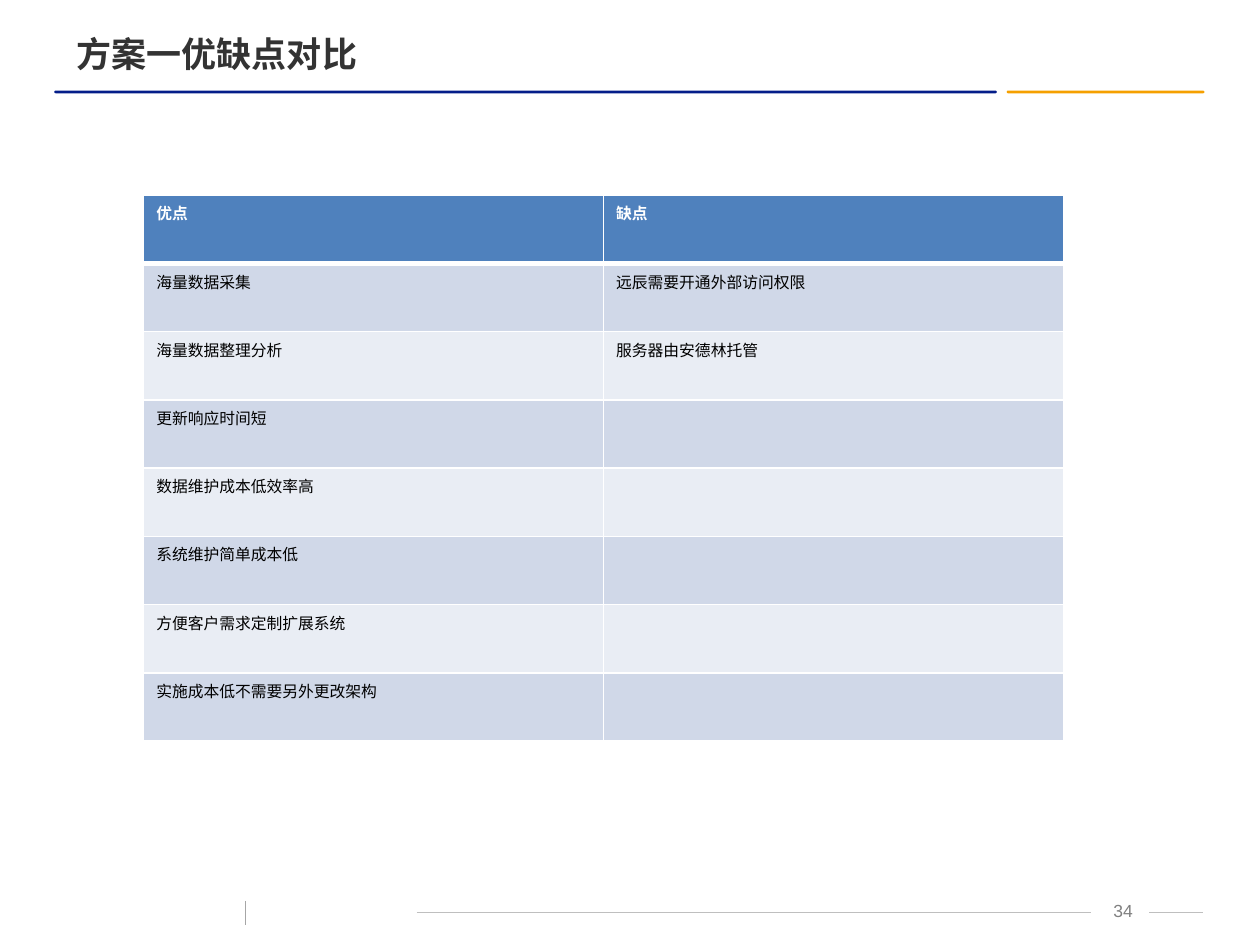
from dataclasses import dataclass

import lxml.etree
import pptx
import pptx.dml.color
import pptx.enum.shapes
import pptx.enum.text
import pptx.oxml.ns
import pptx.util

Pt = pptx.util.Pt
qn = pptx.oxml.ns.qn

COLORS = {
    "navy": "031D89", "orange": "F5A000", "title": "333333", "number": "808080",
    "rule": "BFBFBF", "tick": "A6A6A6", "header": "4F81BD", "odd": "D0D8E8",
    "even": "E9EDF4", "white": "FFFFFF", "black": "000000",
}
CJK_FONT = "Noto Sans CJK SC"
ROW_HEIGHT = 39 - 0.02
COLUMN_WIDTH = 262.8
COMPARISON = [
    ("优点", "缺点"),
    ("海量数据采集", "远辰需要开通外部访问权限"),
    ("海量数据整理分析", "服务器由安德林托管"),
    ("更新响应时间短", ""),
    ("数据维护成本低效率高", ""),
    ("系统维护简单成本低", ""),
    ("方便客户需求定制扩展系统", ""),
    ("实施成本低不需要另外更改架构", ""),
]


@dataclass
class Bar:
    left: float
    width: float
    color: str


@dataclass
class Rule:
    start: tuple[float, float]
    end: tuple[float, float]
    color: str


@dataclass
class Label:
    text: str
    box: tuple[float, float, float, float]
    size: float
    color: str
    bold: bool = False
    centered: bool = False
    wrap: bool = True


BARS = [Bar(575.3, 113, "orange"), Bar(31, 538.6, "navy")]
RULES = [
    Rule((238.3, 521.3), (623.5, 521.3), "rule"),
    Rule((140.4, 514.8), (140.4, 528.5), "tick"),
    Rule((656.6, 521.3), (687.6, 521.3), "rule"),
]
LABELS = [
    Label(" 34", (623.5, 510.5, 33.8, 18), 10, "number", centered=True),
    Label("方案一优缺点对比", (36.7, 15.1, 176.4, 31.7), 20, "title", bold=True, wrap=False),
]


def rgb(name: str) -> pptx.dml.color.RGBColor:
    """Return the named palette colour."""
    return pptx.dml.color.RGBColor.from_string(COLORS[name])


def style_paragraph(paragraph, face: str, size: float, color: str, bold: bool) -> None:
    """Set the font of a paragraph, with its East Asian face."""
    font = paragraph.font
    font.name, font.size, font.bold = face, Pt(size), bold
    font.color.rgb = rgb(color)
    latin = paragraph._p.pPr.find(qn("a:defRPr")).find(qn("a:latin"))
    east_asian = lxml.etree.Element(qn("a:ea"), typeface=CJK_FONT)
    latin.addnext(east_asian)


def draw_bar(slide, bar: Bar) -> None:
    """Draw one rounded bar under the title."""
    strip = slide.shapes.add_shape(
        pptx.enum.shapes.MSO_SHAPE.ROUNDED_RECTANGLE,
        Pt(bar.left), Pt(51.8), Pt(bar.width), Pt(1.5))
    strip.adjustments[0] = 0.5
    strip.shadow.inherit = False
    strip.fill.solid()
    strip.fill.fore_color.rgb = rgb(bar.color)
    strip.line.fill.background()


def draw_rule(slide, rule: Rule) -> None:
    """Draw one thin footer line."""
    line = slide.shapes.add_connector(
        pptx.enum.shapes.MSO_CONNECTOR.STRAIGHT, *map(Pt, rule.start + rule.end))
    line.line.color.rgb = rgb(rule.color)
    line.line.width = Pt(0.75)
    lxml.etree.SubElement(line._element.spPr, qn("a:effectLst"))


def draw_label(slide, label: Label) -> None:
    """Draw one text box."""
    frame = slide.shapes.add_textbox(*map(Pt, label.box)).text_frame
    frame.word_wrap = label.wrap
    paragraph = frame.paragraphs[0]
    paragraph.text = label.text
    if label.centered:
        paragraph.alignment = pptx.enum.text.PP_ALIGN.CENTER
    style_paragraph(paragraph, "Arial", label.size, label.color, label.bold)


def set_border(cell, side: str, width: float) -> None:
    """Add a white border to one side of a cell."""
    border = lxml.etree.SubElement(
        cell._tc.get_or_add_tcPr(), qn(f"a:ln{side}"), w=str(Pt(width)))
    fill = lxml.etree.SubElement(border, qn("a:solidFill"))
    lxml.etree.SubElement(fill, qn("a:srgbClr"), val=COLORS["white"])


def draw_comparison(slide) -> None:
    """Draw the table of advantages and drawbacks."""
    row_count, column_count = len(COMPARISON), len(COMPARISON[0])
    table = slide.shapes.add_table(
        row_count, column_count, Pt(82.1), Pt(111.6),
        Pt(column_count * COLUMN_WIDTH), Pt(row_count * ROW_HEIGHT)).table
    for column in table.columns:
        column.width = Pt(COLUMN_WIDTH)
    for index, entries in enumerate(COMPARISON):
        table.rows[index].height = Pt(ROW_HEIGHT)
        is_header = index == 0
        fill_color = "header" if is_header else ("odd" if index % 2 else "even")
        for column, entry in enumerate(entries):
            cell = table.cell(index, column)
            for side in "LRTB":
                under_header = (is_header and side == "B") or (index == 1 and side == "T")
                set_border(cell, side, 3 if under_header else 1)
            cell.fill.solid()
            cell.fill.fore_color.rgb = rgb(fill_color)
            paragraph = cell.text_frame.paragraphs[0]
            paragraph.text = entry
            style_paragraph(paragraph, CJK_FONT, 9, "white" if is_header else "black", is_header)


def main() -> None:
    """Build and save the slide."""
    deck = pptx.Presentation()
    deck.slide_width, deck.slide_height = Pt(720), Pt(540)
    slide = deck.slides.add_slide(deck.slide_layouts[6])
    for bar in BARS:
        draw_bar(slide, bar)
    for rule in RULES:
        draw_rule(slide, rule)
    draw_comparison(slide)
    for label in LABELS:
        draw_label(slide, label)
    deck.save("out.pptx")


if __name__ == "__main__":
    main()
